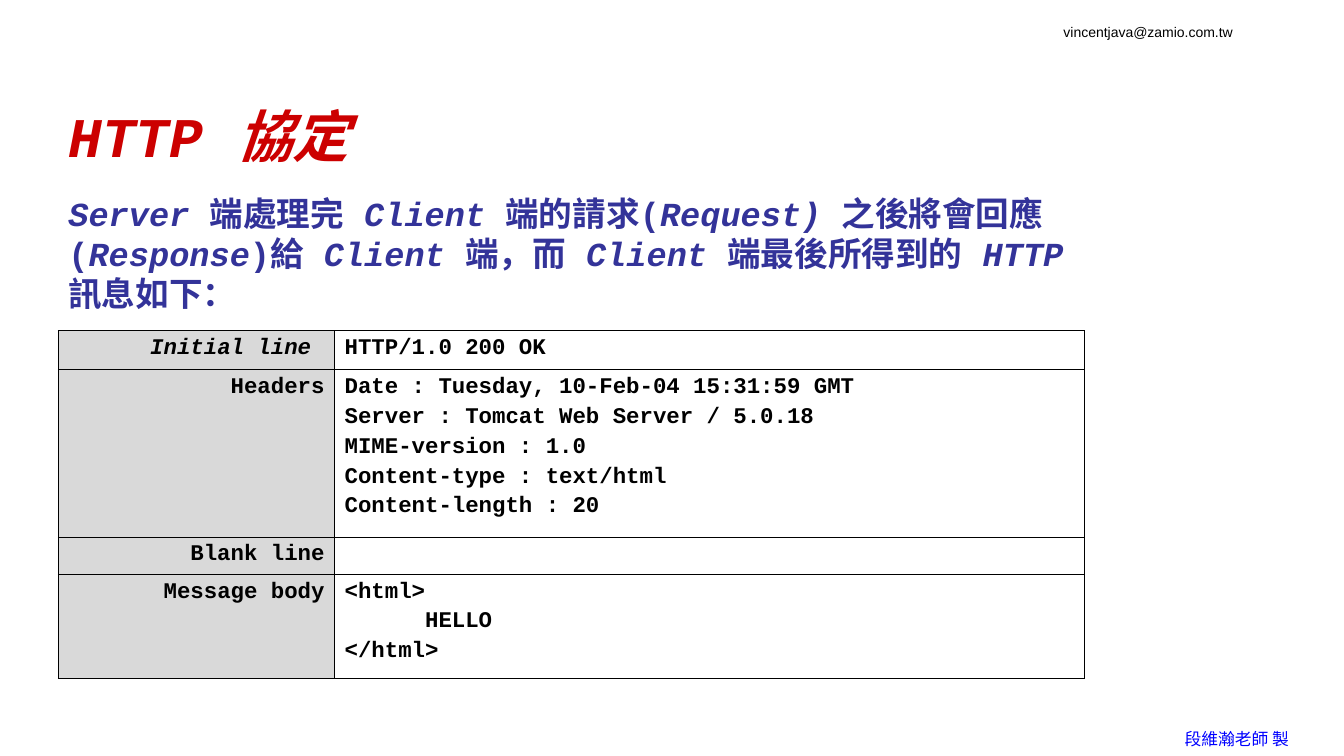
from dataclasses import dataclass

from lxml.etree import SubElement
from pptx import Presentation
from pptx.dml.color import RGBColor
from pptx.enum.text import MSO_ANCHOR, PP_ALIGN
from pptx.oxml.ns import qn
from pptx.util import Inches, Pt


@dataclass(frozen=True)
class Theme:
    title: str = "CC0000"
    intro: str = "333399"
    ink: str = "000000"
    credit: str = "0000FF"
    label_fill: str = "D9D9D9"
    code_font: str = "Courier New"
    plain_font: str = "Arial"
    chinese_font: str = "Noto Sans CJK TC"
    title_size: int = 40
    intro_size: int = 24
    cell_size: int = 16
    credit_size: int = 12
    contact_size: int = 10


THEME = Theme()
WIDTH, HEIGHT = Inches(13.33), Inches(7.5)
LEFT = 4.35  # shared left edge, percent of the slide's width

# Pieces alternate between italic and upright
INTRO = [
    "Server ", "端處理完 ", "Client ", "端的請求(", "Request) ", "之後將會回應(",
    "Response", ")給 ", "Client ", "端，而 ", "Client ", "端最後所得到的 ",
    "HTTP ", "訊息如下：",
]

# Row height in percent of the slide's height, label, lines
COLUMNS = [20.55, 55.81]
ROWS = [
    (5.2, "Initial line ", ["HTTP/1.0 200 OK"]),
    (22.13, "Headers", [
        "Date : Tuesday, 10-Feb-04 15:31:59 GMT",
        "Server : Tomcat Web Server / 5.0.18",
        "MIME-version : 1.0",
        "Content-type : text/html",
        "Content-length : 20",
    ]),
    (4.93, "Blank line", []),
    (13.73, "Message body", ["<html>", "      HELLO", "</html>"]),
]


def across(percent):
    return int(WIDTH * percent / 100)


def down(percent):
    return int(HEIGHT * percent / 100)


def area(left, top, width, height):
    return across(left), down(top), across(width), down(height)


def color(value):
    return RGBColor.from_string(value)


def write(para, text, *, size, ink, font=THEME.code_font, bold=True, italic=False):
    """Add one formatted span to a paragraph."""
    span = para.add_run()
    span.text = text
    span.font.size = Pt(size)
    span.font.name = font
    span.font.bold = bold
    span.font.italic = italic
    span.font.color.rgb = color(ink)
    SubElement(span.font._element, qn("a:ea")).set("typeface", font)


def add_box(page, place, wrap=True):
    frame = page.shapes.add_textbox(*place).text_frame
    frame.word_wrap = wrap
    return frame.paragraphs[0]


def add_title(page, text):
    title = page.shapes.title
    title.left, title.top, title.width, title.height = area(LEFT, 12.13, 90.02, 11.6)
    title.text_frame.vertical_anchor = MSO_ANCHOR.MIDDLE
    para = title.text_frame.paragraphs[0]
    para.alignment = PP_ALIGN.LEFT
    write(para, text, size=THEME.title_size, ink=THEME.title, italic=True)


def add_intro(page):
    para = add_box(page, area(LEFT, 24.8, 78.17, 18))
    for index, piece in enumerate(INTRO):
        write(para, piece, size=THEME.intro_size, ink=THEME.intro, italic=index % 2 == 0)


def add_borders(cell):
    properties = cell._tc.get_or_add_tcPr()
    for index, side in enumerate(("lnL", "lnR", "lnT", "lnB")):
        line = properties.makeelement(qn(f"a:{side}"), {"w": str(Pt(1))})
        fill = SubElement(line, qn("a:solidFill"))
        SubElement(fill, qn("a:srgbClr")).set("val", THEME.ink)
        properties.insert(index, line)


def fill_cell(cell, lines, *, align=PP_ALIGN.LEFT, italic=False, fill=None):
    if fill:
        cell.fill.solid()
        cell.fill.fore_color.rgb = color(fill)
    else:
        cell.fill.background()
    add_borders(cell)
    frame = cell.text_frame
    for index, line in enumerate(lines):
        para = frame.add_paragraph() if index else frame.paragraphs[0]
        para.alignment = align
        if index:
            para.space_before = Pt(THEME.cell_size * 0.2)
        write(para, line, size=THEME.cell_size, ink=THEME.ink, italic=italic)
    if not lines:
        # An empty cell keeps the text size, so its row stays low
        end = SubElement(frame.paragraphs[0]._p, qn("a:endParaRPr"))
        end.set("sz", str(THEME.cell_size * 100))


def add_message_table(page):
    place = area(LEFT, 43.73, sum(COLUMNS), sum(row[0] for row in ROWS))
    table = page.shapes.add_table(len(ROWS), len(COLUMNS), *place).table
    table.first_row = table.horz_banding = False
    for column, width in zip(table.columns, COLUMNS):
        column.width = across(width)
    for index, (height, label, lines) in enumerate(ROWS):
        table.rows[index].height = down(height)
        fill_cell(table.cell(index, 0), [label], align=PP_ALIGN.RIGHT,
                  italic=index == 0, fill=THEME.label_fill)
        fill_cell(table.cell(index, 1), lines)


def main():
    deck = Presentation()
    deck.slide_width, deck.slide_height = WIDTH, HEIGHT
    page = deck.slides.add_slide(deck.slide_layouts[5])

    # Contact and author
    write(add_box(page, area(78.39, 2.4, 14.25, 3.6), wrap=False),
          "vincentjava@zamio.com.tw", size=THEME.contact_size, ink=THEME.ink,
          font=THEME.plain_font, bold=False)
    write(add_box(page, area(87.4, 95.73, 9.38, 4), wrap=False),
          "段維瀚老師 製", size=THEME.credit_size, ink=THEME.credit,
          font=THEME.chinese_font, bold=False)

    # Heading, introduction and response message
    add_title(page, "HTTP 協定")
    add_intro(page)
    add_message_table(page)
    deck.save("out.pptx")


if __name__ == "__main__":
    main()
